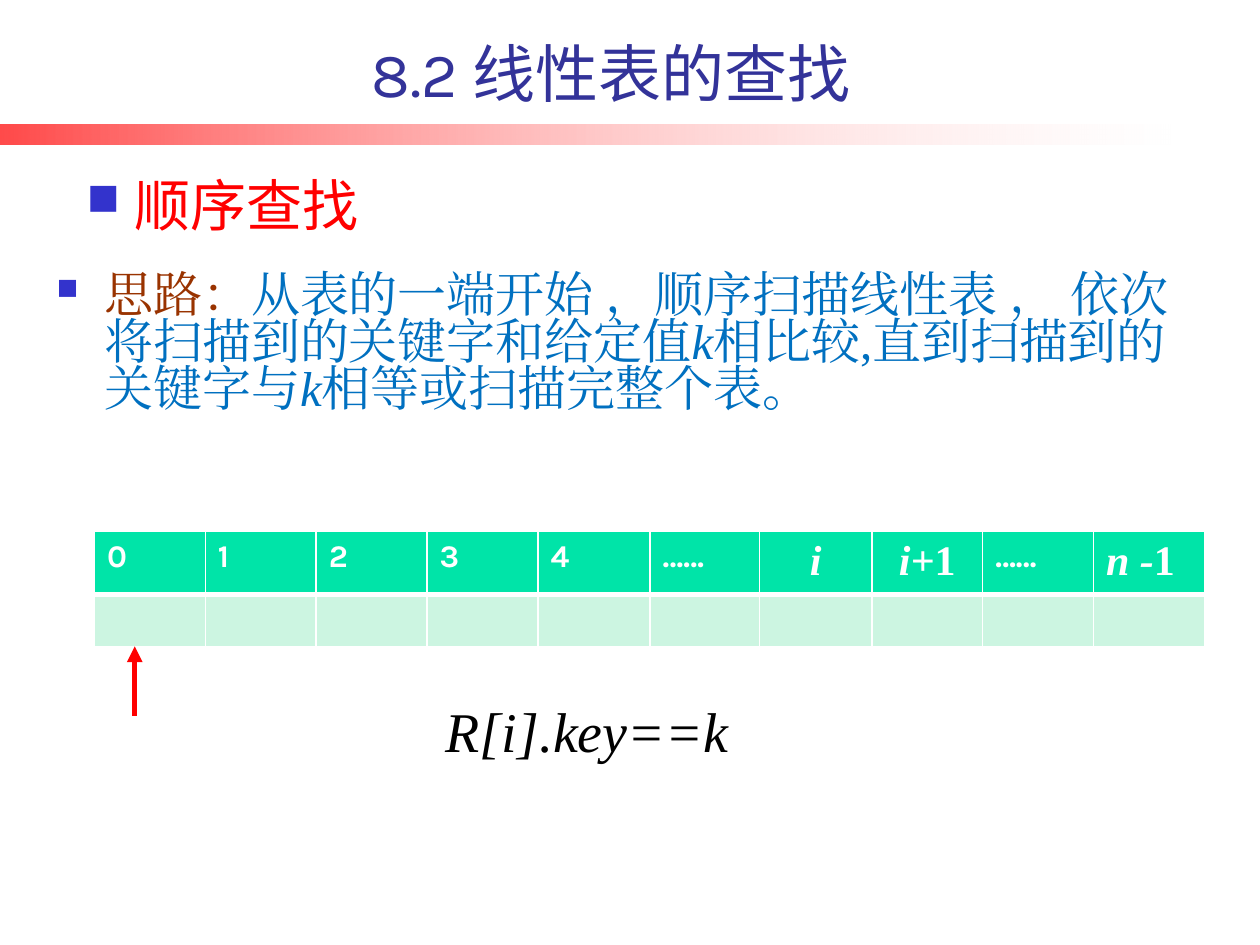
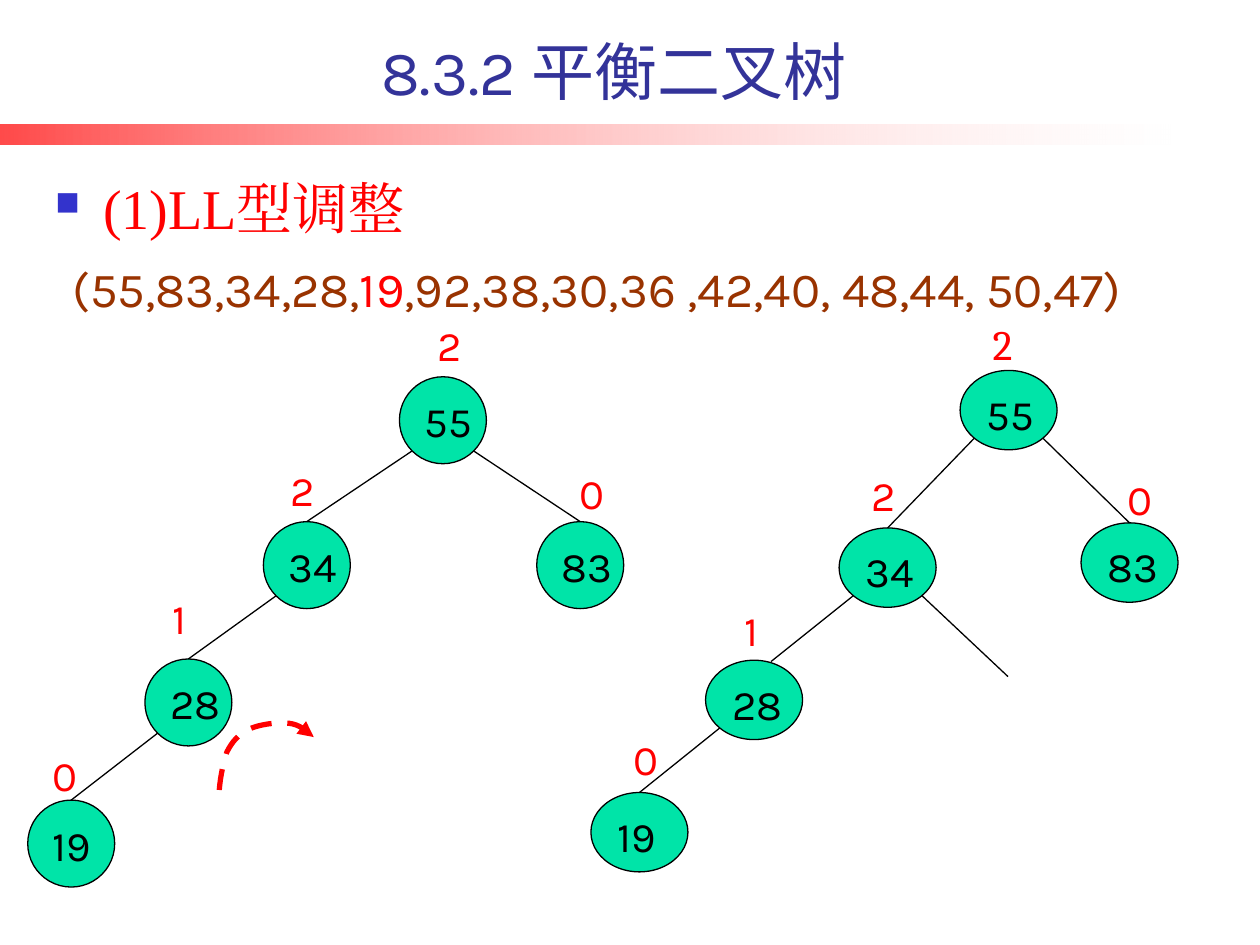
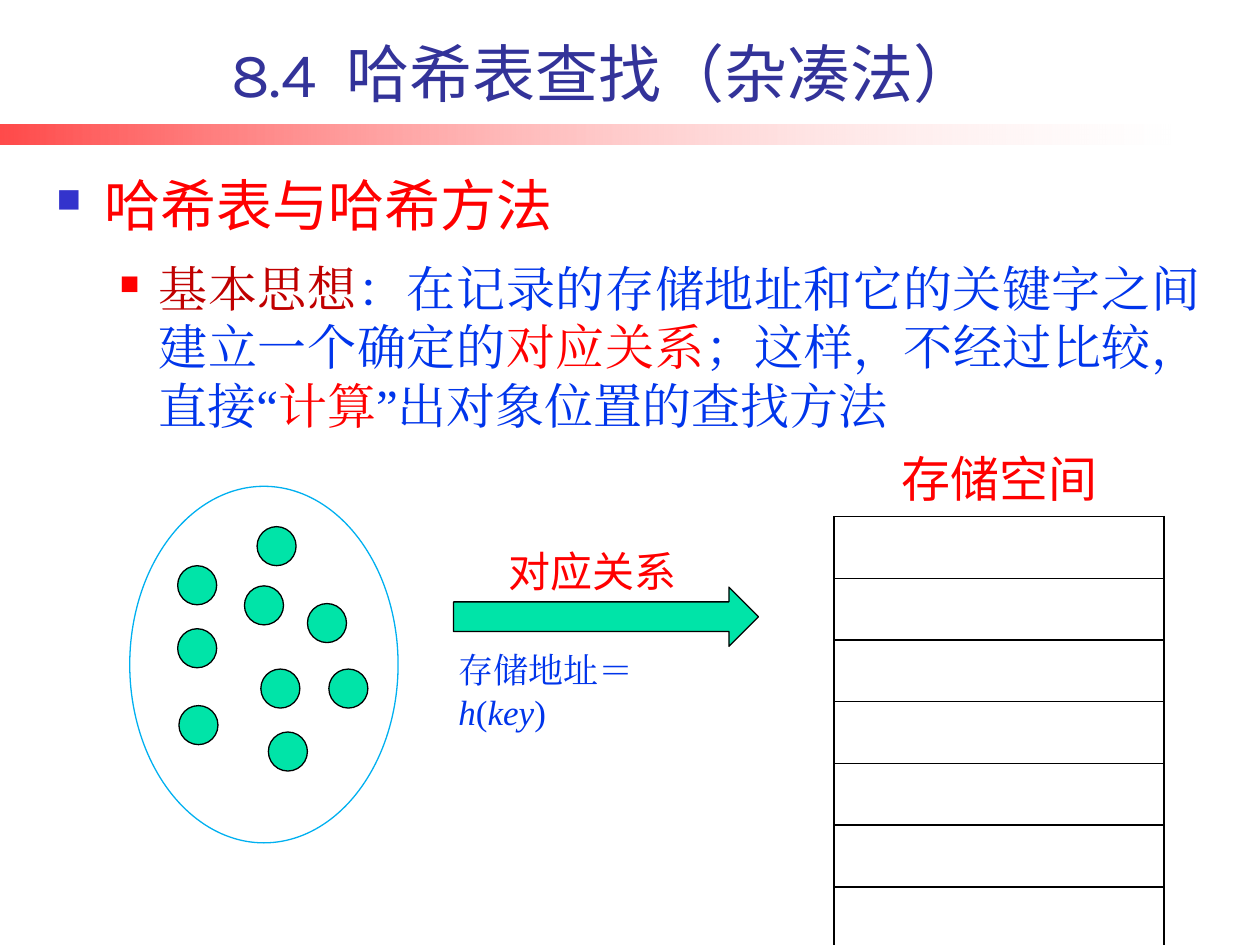
from lxml import etree
from pptx import Presentation
from pptx.dml.color import RGBColor
from pptx.enum.dml import MSO_LINE
from pptx.enum.shapes import MSO_CONNECTOR, MSO_SHAPE
from pptx.enum.text import MSO_ANCHOR, PP_ALIGN
from pptx.oxml.ns import qn
from pptx.util import Inches, Pt

RECT, ELLIPSE, RIGHT_ARROW = MSO_SHAPE.RECTANGLE, MSO_SHAPE.OVAL, MSO_SHAPE.RIGHT_ARROW
STRAIGHT, DASH = MSO_CONNECTOR.STRAIGHT, MSO_LINE.DASH
TOP, BOTTOM = MSO_ANCHOR.TOP, MSO_ANCHOR.BOTTOM
LEFT, CENTER, JUSTIFY = PP_ALIGN.LEFT, PP_ALIGN.CENTER, PP_ALIGN.JUSTIFY

BLACK = RGBColor(0, 0, 0)
WHITE = RGBColor(0xFF, 0xFF, 0xFF)
RED = RGBColor(0xFF, 0, 0)
DARK_RED = RGBColor(0xC0, 0, 0)
BROWN = RGBColor(0x99, 0x33, 0)
NAVY = RGBColor(0x33, 0x33, 0x99)
BULLET_BLUE = RGBColor(0x33, 0x33, 0xCC)
TEXT_BLUE = RGBColor(0, 0x70, 0xC0)
BODY_BLUE = RGBColor(0, 0x35, 0xEB)
SKY = RGBColor(0, 0xB0, 0xF0)
GREEN = RGBColor(0, 0xE4, 0xA8)
PALE_GREEN = RGBColor(0xCC, 0xF5, 0xE1)

SANS, SERIF, CAMBRIA, CJK = "Karla", "Times New Roman", "Cambria", "Noto Sans CJK SC"


def sub(parent, tag, **attrs):
    return etree.SubElement(parent, qn(tag), {k: str(v) for k, v in attrs.items()})


def add_arrowhead(shape):
    sub(shape._element.spPr.find(qn("a:ln")), "a:tailEnd", type="triangle")


def add_bullet(p, color, percent, margin, hanging):
    pPr = p._p.get_or_add_pPr()
    pPr.set("marL", str(Inches(margin)))
    pPr.set("indent", str(-Inches(hanging)))
    sub(sub(pPr, "a:buClr"), "a:srgbClr", val=color)
    sub(pPr, "a:buSzPct", val=percent * 1000)
    sub(pPr, "a:buChar", char="■")


def set_borders(cell, color, **widths):
    """Draw the sides named L, R, T or B with the given widths in points."""
    tcPr = cell._tc.get_or_add_tcPr()
    sides = [side for side in "LRTB" if side in widths]
    for i, side in enumerate(sides):
        ln = etree.Element(qn(f"a:ln{side}"), w=str(Pt(widths[side])))
        sub(sub(ln, "a:solidFill"), "a:srgbClr", val=color)
        tcPr.insert(i, ln)


def bezier_points(start, segments, steps=8):
    """Sample a chain of cubic curves, each given as two handles and an end."""
    points = [start]
    for h1, h2, end in segments:
        for i in range(1, steps + 1):
            t = i / steps
            weights = ((1 - t) ** 3, 3 * t * (1 - t) ** 2, 3 * t * t * (1 - t), t ** 3)
            corners = (start, h1, h2, end)
            points.append(tuple(sum(w * c[axis] for w, c in zip(weights, corners))
                                for axis in (0, 1)))
        start = end
    return points


class Deck:
    def __init__(self):
        self.prs = Presentation()
        self.prs.slide_width, self.prs.slide_height = Inches(10), Inches(7.5)
        self.s = None

    def new_slide(self, title, x=0.59, y=0.21):
        self.s = self.prs.slides.add_slide(self.prs.slide_layouts[6])
        band = self.shape(RECT, 0, 0.99, 9.29, 0.16, None, None)
        band.fill.gradient()
        band.fill.gradient_angle = 0
        for stop, color in zip(band.fill.gradient_stops, (RED, WHITE)):
            stop.color.rgb = color
        for clr, alpha in zip(band._element.spPr.iter(qn("a:srgbClr")), (71, 18)):
            sub(clr, "a:alpha", val=alpha * 1000)
        self.text(x, y, 8.52, 0.71, [title], 36, SANS, NAVY, anchor=BOTTOM, align=CENTER)

    def add_runs(self, p, runs, size, font, color, italic=False, bold=False):
        """Add runs; each is a string or (string, dict of differences)."""
        for run in runs:
            content, diff = (run, {}) if isinstance(run, str) else run
            r = p.add_run()
            r.text = content
            r.font.size, r.font.name = Pt(size), font
            r.font.color.rgb = diff.get("color", color)
            r.font.italic = diff.get("italic", italic)
            r.font.bold = bold
            sub(r._r.get_or_add_rPr(), "a:ea", typeface=font)

    def text(self, x, y, w, h, runs, size, font, color, anchor=TOP, align=LEFT,
             wrap=True, before=0, line=None, italic=False):
        box = self.s.shapes.add_textbox(Inches(x), Inches(y), Inches(w), Inches(h))
        tf = box.text_frame
        tf.word_wrap, tf.vertical_anchor = wrap, anchor
        p = tf.paragraphs[0]
        p.alignment, p.space_before, p.line_spacing = align, Pt(before), line
        self.add_runs(p, runs, size, font, color, italic)
        return p

    def heading(self, x, y, w, h, content, font, percent=60, line=None):
        p = self.text(x, y, w, h, [content], 32, font, RED, anchor=BOTTOM,
                      before=6.4, line=line)
        add_bullet(p, BULLET_BLUE, percent, 0.38, 0.38)

    def shape(self, kind, x, y, w, h, fill=GREEN, line=BLACK):
        sp = self.s.shapes.add_shape(kind, Inches(x), Inches(y), Inches(w), Inches(h))
        sp.shadow.inherit = False
        if fill is None:
            sp.fill.background()
        else:
            sp.fill.solid()
            sp.fill.fore_color.rgb = fill
        if line is None:
            sp.line.fill.background()
        else:
            sp.line.color.rgb, sp.line.width = line, Pt(0.75)
        return sp

    def line(self, start, end, color=BLACK, width=0.75):
        c = self.s.shapes.add_connector(STRAIGHT, *map(Inches, (*start, *end)))
        c.line.color.rgb, c.line.width = color, Pt(width)
        sub(c._element.spPr, "a:effectLst")
        return c

    def curved_arrow(self, points, color, width):
        emu = [(Inches(x), Inches(y)) for x, y in points]
        builder = self.s.shapes.build_freeform(*emu[0])
        builder.add_line_segments(emu[1:], close=False)
        sp = builder.convert_to_shape()
        sp.shadow.inherit = False
        sp.fill.background()
        sp.line.color.rgb, sp.line.width, sp.line.dash_style = color, Pt(width), DASH
        add_arrowhead(sp)

    def table(self, x, y, widths, heights):
        frame = self.s.shapes.add_table(len(heights), len(widths), Inches(x), Inches(y),
                                        Inches(sum(widths)), Inches(sum(heights)))
        tbl = frame.table
        tbl.first_row = tbl.horz_banding = False
        for col, width in zip(tbl.columns, widths):
            col.width = Inches(width)
        for row, height in zip(tbl.rows, heights):
            row.height = Inches(height)
        return tbl

    def tree(self, w, h, nodes, edges, loose_edges, factors):
        """Draw nodes {key: (x, y)}, edges (parent, child), loose edges (parent, end)
        and balance factors (text, x, y, width, height, font)."""
        shapes = {}
        for key, (x, y) in nodes.items():
            sp = shapes[key] = self.shape(ELLIPSE, x, y, w, h)
            tf = sp.text_frame
            tf.word_wrap, tf.vertical_anchor = False, TOP
            tf.paragraphs[0].alignment = LEFT
            self.add_runs(tf.paragraphs[0], [key], 24, SANS, BLACK)

        def branch(parent, end):
            x, y = nodes[parent]
            side = 1 if end[0] > x + w / 2 else -1
            reach = 0.5 ** 1.5
            return self.line((x + w / 2 + side * reach * w, y + h / 2 + reach * h), end)

        for parent, child in edges:
            x, y = nodes[child]
            branch(parent, (x + w / 2, y)).end_connect(shapes[child], 0)
        for parent, end in loose_edges:
            branch(parent, end)
        for content, x, y, width, height, font in factors:
            self.text(x, y, width, height, [content], 24, font, RED)


def sequential_search(deck):
    deck.new_slide("8.2 线性表的查找")
    deck.heading(0.59, 1.23, 3.07, 0.71, "顺序查找", CJK, percent=80, line=1.15)
    k = ("k", {"italic": True})
    idea = [("思路：", {"color": BROWN}),
            "从表的一端开始 ，顺序扫描线性表 ， 依次将扫描到的关键字和给定值", k,
            "相比较,直到扫描到的关键字与", k, "相等或扫描完整个表。"]
    p = deck.text(0.35, 2.13, 9.28, 1.18, idea, 28, SERIF, TEXT_BLUE, before=5.6, line=0.8)
    add_bullet(p, BULLET_BLUE, 60, 0.38, 0.38)

    one = ("1", {"italic": False})
    headers = [["0"], ["1"], ["2"], ["3"], ["4"], ["……"], ["i"], ["i+", one], ["……"],
               ["n -", one]]
    widths = [0.88] * 4 + [0.89, 0.87, 0.89] + [0.88] * 3
    tbl = deck.table(0.75, 4.22, widths, [0.5, 0.41])
    for col, runs in enumerate(headers):
        head, slot = tbl.cell(0, col), tbl.cell(1, col)
        for cell, fill in ((head, GREEN), (slot, PALE_GREEN)):
            cell.fill.solid()
            cell.fill.fore_color.rgb = fill
        set_borders(head, WHITE, L=1, R=1, T=1, B=3)
        set_borders(slot, WHITE, L=1, R=1, B=1)
        p = head.text_frame.paragraphs[0]
        if runs[0][0] in "in":
            p.alignment = CENTER if runs[0][0] == "i" else LEFT
            deck.add_runs(p, runs, 24, SERIF, WHITE, italic=True, bold=True)
        else:
            deck.add_runs(p, runs, 18, SANS, WHITE, bold=True)

    add_arrowhead(deck.line((1.07, 5.68), (1.07, 5.13), RED, 3))
    deck.text(3.44, 5.48, 2.47, 0.64, ["R[i].key==k"], 32, SERIF, BLACK,
              wrap=False, italic=True)


def balanced_tree(deck):
    deck.new_slide("8.3.2 平衡二叉树", 0.61, 0.2)
    deck.heading(0.34, 1.32, 3.67, 0.64, "(1)LL型调整", SERIF)
    keys = ["(55,83,34,28,", ("19", {"color": RED}), ",92,38,30,36 ,42,40, 48,44, 50,47)"]
    deck.text(0.48, 2, 9.08, 0.69, keys, 28, SANS, BROWN, before=5.6)

    deck.tree(0.69, 0.69,
              {"55": (3.17, 2.99), "83": (4.26, 4.14), "34": (2.09, 4.14),
               "28": (1.15, 5.23), "19": (0.22, 6.35)},
              [("55", "83"), ("55", "34"), ("34", "28"), ("28", "19")], [],
              [("2", 3.37, 2.49, 0.39, 0.5, SANS), ("0", 4.5, 3.66, 0.27, 0.5, SANS),
               ("2", 2.21, 3.64, 0.27, 0.5, SANS), ("1", 1.27, 4.65, 0.27, 0.5, SANS),
               ("0", 0.32, 5.9, 0.27, 0.5, SANS)])
    rotation = bezier_points((1.74, 6.27), [
        ((1.75, 6.16), (1.77, 6.06), (1.8, 5.97)),
        ((1.84, 5.89), (1.89, 5.83), (1.97, 5.79)),
        ((2.05, 5.75), (2.2, 5.73), (2.29, 5.74)),
        ((2.38, 5.75), (2.43, 5.8), (2.49, 5.85))])
    deck.curved_arrow(rotation, RED, 3)
    deck.tree(0.77, 0.63,
              {"55": (7.62, 2.94), "83": (8.58, 4.15), "34": (6.66, 4.19),
               "28": (5.6, 5.24), "19": (4.69, 6.29)},
              [("55", "83"), ("55", "34"), ("28", "19")],
              [("34", (6.12, 5.25)), ("34", (8, 5.37))],
              [("2", 7.78, 2.48, 0.39, 0.5, CAMBRIA), ("0", 8.85, 3.71, 0.3, 0.32, SANS),
               ("2", 6.82, 3.68, 0.39, 0.5, SANS), ("1", 5.81, 4.75, 0.39, 0.5, SANS),
               ("0", 4.93, 5.77, 0.3, 0.32, SANS)])


def hash_table(deck):
    deck.new_slide("8.4  哈希表查找（杂凑法） ")
    deck.heading(0.35, 1.23, 5.2, 0.71, "哈希表与哈希方法", CJK)
    red = {"color": RED}
    idea = [("基本思想", {"color": DARK_RED}),
            "：在记录的存储地址和它的关键字之间建立一个确定的", ("对应关系", red),
            "；这样，不经过比较，直接“", ("计算", red), "”出对象位置的查找方法"]
    p = deck.text(0.35, 2, 9.28, 1.73, idea, 28, SERIF, BODY_BLUE, align=JUSTIFY)
    add_bullet(p, RED, 55, 0.81, 0.31)

    for x, y in ((1.41, 4.49), (2.04, 4.18), (1.94, 4.65), (1.41, 4.99), (2.07, 5.31),
                 (1.42, 5.6), (2.44, 4.79), (2.13, 5.81), (2.61, 5.31)):
        deck.shape(ELLIPSE, x, y, 0.31, 0.31)
    deck.shape(ELLIPSE, 1.03, 3.86, 2.13, 2.83, None, SKY)

    tbl = deck.table(6.62, 3.45, [2.62], [0.65] + [0.49] * 7)
    for row in range(8):
        cell = tbl.cell(row, 0)
        cell.fill.background()
        if row:
            set_borders(cell, BLACK, L=1, R=1, T=1, B=1)
    label = tbl.cell(0, 0)
    set_borders(label, BLACK, B=1)
    p = label.text_frame.paragraphs[0]
    p.alignment = CENTER
    deck.add_runs(p, ["存储空间"], 28, CJK, RED)

    deck.shape(RIGHT_ARROW, 3.6, 4.66, 2.42, 0.47)
    deck.text(3.94, 4.28, 1.55, 0.5, ["对应关系"], 24, SANS, RED, wrap=False)
    italic = {"italic": True}
    deck.text(3.54, 5.1, 2, 0.44, ["存储地址＝", ("h", italic), "(", ("key", italic), ")"],
              20, SERIF, BODY_BLUE)


def main():
    deck = Deck()
    sequential_search(deck)
    balanced_tree(deck)
    hash_table(deck)
    deck.prs.save("out.pptx")


if __name__ == "__main__":
    main()
